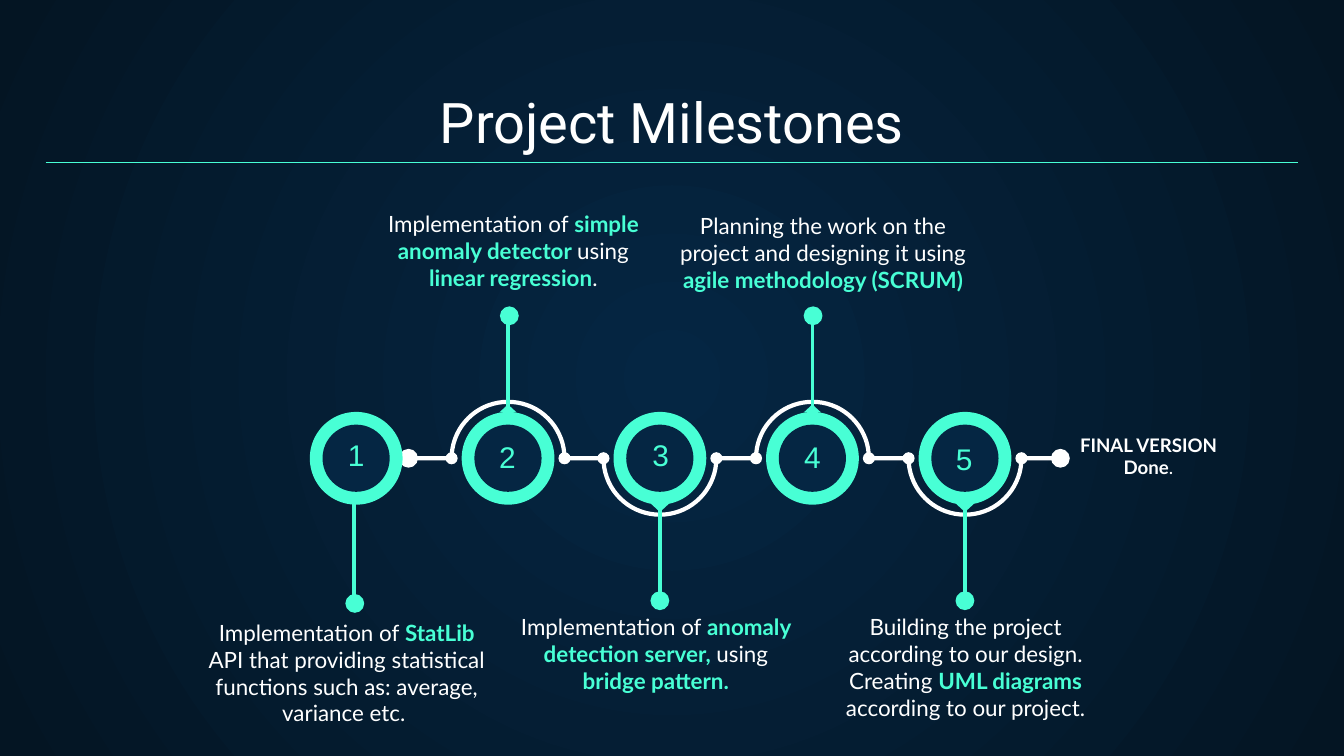
"""Build the project milestones slide: a winding track with five numbered stops."""
import math
from dataclasses import dataclass

from lxml import etree
from pptx import Presentation
from pptx.dml.color import RGBColor
from pptx.enum import shapes, text
from pptx.oxml import ns
from pptx.util import Emu, Pt

PX = 4572
MID = 682
BEND = 84
MINT, WHITE, NAVY, DARK = "48FFD5", "FFFFFF", "052643", "041523"
OVAL = shapes.MSO_SHAPE.OVAL
TIP = shapes.MSO_SHAPE.ISOSCELES_TRIANGLE
LEFT, CENTER = text.PP_ALIGN.LEFT, text.PP_ALIGN.CENTER
TOP, BOTTOM = text.MSO_ANCHOR.TOP, text.MSO_ANCHOR.BOTTOM


@dataclass
class Box:
    x: int
    y: int
    w: int
    h: int


@dataclass
class Stop:
    x: int
    stem: int
    knob: tuple[int, int]
    digit: Box
    note: Box
    words: str
    bends: bool = True

    @property
    def side(self) -> int:
        return -1 if self.knob[1] < MID else 1


STOPS = [
    Stop(530, 527, (528, 898), Box(498, 633, 66, 90), Box(284, 901, 464, 190),
         "Implementation of* StatLib* API that providing statistical "
         "functions such as: average, variance etc. ", False),
    Stop(756, 756, (758, 470), Box(723, 636, 66, 90), Box(532, 293, 464, 190),
         "Implementation of* simple anomaly detector *using *linear regression*."),
    Stop(982, 982, (982, 894), Box(951, 633, 66, 90), Box(744, 893, 464, 190),
         "Implementation of *anomaly detection server, *using* bridge pattern."),
    Stop(1209, 1209, (1210, 470), Box(1177, 636, 66, 90), Box(981, 296, 488, 190),
         "Planning the work on the project and designing it using"
         "* agile methodology (SCRUM)"),
    Stop(1436, 1436, (1436, 894), Box(1403, 639, 66, 90), Box(1205, 893, 464, 190),
         "Building the project according to our design. Creating "
         "*UML diagrams *according to our project."),
]


def px(n: float) -> Emu:
    """Turn px into EMU."""
    return Emu(round(n * PX))


def rgb(code: str) -> RGBColor:
    """Turn a hex string into a colour."""
    return RGBColor.from_string(code)


def place(shape, box: Box) -> None:
    """Move and size a shape to a box."""
    shape.left, shape.top = px(box.x), px(box.y)
    shape.width, shape.height = px(box.w), px(box.h)


def solid(slide, kind, box: Box, color: str):
    """Draw a filled preset shape without an outline."""
    shape = slide.shapes.add_shape(kind, 0, 0, 0, 0)
    place(shape, box)
    shape.shadow.inherit = False
    shape.fill.solid()
    shape.fill.fore_color.rgb = rgb(color)
    shape.line.fill.background()
    return shape


def disc(slide, x: int, y: int, size: int, color: str) -> None:
    """Draw a circle around a centre."""
    half = size // 2
    solid(slide, OVAL, Box(x - half, y - half, size, size), color)


def rule(slide, start: tuple[int, int], end: tuple[int, int], width: float) -> None:
    """Draw a straight mint line."""
    line = slide.shapes.add_connector(
        shapes.MSO_CONNECTOR.STRAIGHT, *map(px, start + end))
    line.line.color.rgb = rgb(MINT)
    line.line.width = Pt(width)
    etree.SubElement(line.element.spPr, ns.qn("a:effectLst"))


def write(shape, words: str, size: int, font: str, color: str = WHITE,
          hot: str = MINT, align=CENTER, anchor=TOP) -> None:
    """Write text, with the parts between stars bold in the hot colour."""
    frame = shape.text_frame
    frame.word_wrap = True
    frame.auto_size = text.MSO_AUTO_SIZE.NONE
    frame.vertical_anchor = anchor
    frame.margin_left = frame.margin_right = px(20)
    frame.margin_top = frame.margin_bottom = px(20)
    para = frame.paragraphs[0]
    para.alignment = align
    for i, part in enumerate(words.split("*")):
        for j, line in enumerate(part.split("\n")):
            if j:
                para.add_line_break()
            if line:
                run = para.add_run()
                run.text = line
                run.font.size, run.font.name = Pt(size), font
                run.font.bold = i % 2 == 1
                run.font.color.rgb = rgb(hot if i % 2 else color)


def label(slide, box: Box, words: str, size: int, font: str, **style) -> None:
    """Add a text box."""
    shape = slide.shapes.add_textbox(0, 0, 0, 0)
    place(shape, box)
    write(shape, words, size, font, **style)


def glow(slide) -> None:
    """Fill the background with a round gradient."""
    fill = slide.background.fill
    fill.gradient()
    for stop, color in zip(fill.gradient_stops, (NAVY, DARK)):
        stop.color.rgb = rgb(color)
    grad = slide.element.find(".//" + ns.qn("a:gradFill"))
    grad.remove(grad.find(ns.qn("a:lin")))
    ring = etree.SubElement(grad, ns.qn("a:path"), path="circle")
    etree.SubElement(ring, ns.qn("a:fillToRect"),
                     {side: "50000" for side in "ltrb"})


def track(slide, stops: list[Stop], start: int, end: int) -> None:
    """Draw the white track that bends around the stops."""
    bends = [stop for stop in stops if stop.bends]
    dots = [(px(stop.x + BEND * math.cos(turn)),
             px(MID + stop.side * BEND * math.sin(turn)))
            for stop in bends
            for turn in map(math.radians, range(180, -1, -5))]
    pen = slide.shapes.build_freeform(px(start), px(MID))
    pen.add_line_segments(dots + [(px(end), px(MID))], close=False)
    wire = pen.convert_to_shape()
    wire.shadow.inherit = False
    wire.fill.background()
    wire.line.color.rgb = rgb(WHITE)
    wire.line.width = Pt(2.25)
    for x in (start, end):
        disc(slide, x, MID, 28, WHITE)
    for stop in bends:
        for x in (stop.x - BEND, stop.x + BEND):
            disc(slide, x, MID, 18, WHITE)


def mark(slide, num: int, stop: Stop) -> None:
    """Draw one stop with its stem, number and note."""
    disc(slide, stop.x, MID, 138, MINT)
    if stop.bends:
        top = 602 if stop.side < 0 else 750
        tip = solid(slide, TIP, Box(stop.x - 13, top, 26, 12), MINT)
        tip.rotation = 0 if stop.side < 0 else 180
    rule(slide, (stop.stem, MID + stop.side * 64), (stop.stem, stop.knob[1]), 1.95)
    disc(slide, *stop.knob, 28, MINT)
    disc(slide, stop.x, MID, 100, NAVY)
    label(slide, stop.digit, str(num), 16, "Arial", color=MINT,
          align=LEFT, anchor=BOTTOM)
    label(slide, stop.note, stop.words, 12, "Lato")


def main() -> None:
    """Build and save the deck."""
    deck = Presentation()
    deck.slide_width, deck.slide_height = px(2000), px(1125)
    slide = deck.slides.add_slide(deck.slide_layouts[5])
    glow(slide)
    place(slide.shapes.title, Box(68, 118, 1864, 132))
    write(slide.shapes.title, "Project Milestones", 30, "Roboto", anchor=BOTTOM)
    rule(slide, (68, 242), (1932, 242), 0.75)
    track(slide, STOPS, 608, 1578)
    for num, stop in enumerate(STOPS, 1):
        mark(slide, num, stop)
    label(slide, Box(1570, 625, 278, 122), "*FINAL VERSION\nDone*.", 10, "Lato",
          hot=WHITE)
    deck.save("out.pptx")


if __name__ == "__main__":
    main()
